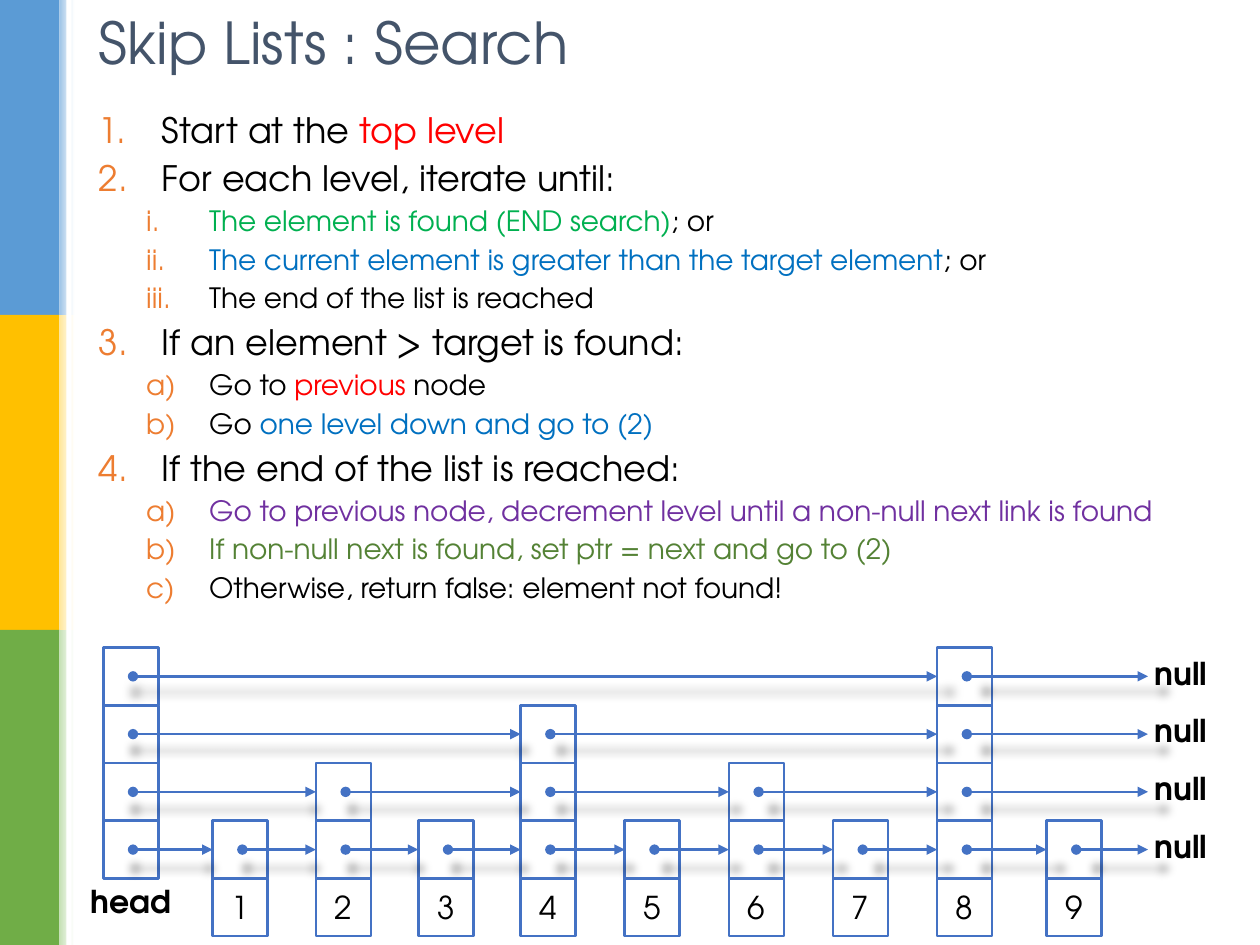
from lxml.etree import SubElement
from pptx import Presentation
from pptx.dml.color import RGBColor
from pptx.enum.shapes import MSO_CONNECTOR, MSO_SHAPE
from pptx.enum.text import MSO_ANCHOR as Anchor, PP_ALIGN as Align
from pptx.oxml import parse_xml
from pptx.oxml.ns import qn
from pptx.util import Pt

FONT = "TeX Gyre Adventor"
BLACK = RGBColor(0x00, 0x00, 0x00)
WHITE = RGBColor(0xFF, 0xFF, 0xFF)
SLATE = RGBColor(0x44, 0x54, 0x6A)
ORANGE = RGBColor(0xED, 0x7D, 0x31)
RED = RGBColor(0xFF, 0x00, 0x00)
GREEN = RGBColor(0x00, 0xB0, 0x50)
BLUE = RGBColor(0x00, 0x70, 0xC0)
PURPLE = RGBColor(0x70, 0x30, 0xA0)
OLIVE = RGBColor(0x54, 0x82, 0x35)
NODE_BLUE = RGBColor(0x44, 0x72, 0xC4)
PALE_BLUE = RGBColor(0xDE, 0xEB, 0xF7)
BANDS = [
    (RGBColor(0x5B, 0x9B, 0xD5), RGBColor(0x9D, 0xC3, 0xE6)),
    (RGBColor(0xFF, 0xC0, 0x00), RGBColor(0xFF, 0xE6, 0x99)),
    (RGBColor(0x70, 0xAD, 0x47), RGBColor(0xC5, 0xE0, 0xB4)),
]

DECIMAL, ROMAN, LETTER = "arabicPeriod", "romanLcPeriod", "alphaLcParenR"
STEPS = [
    (DECIMAL, [("Start at the ", BLACK), ("top level", RED)]),
    (DECIMAL, [("For each level, iterate until:", BLACK)]),
    (ROMAN, [("The element is found (END search)", GREEN), ("; or", BLACK)]),
    (ROMAN, [("The current element is greater than the target element", BLUE),
             ("; or", BLACK)]),
    (ROMAN, [("The end of the list is reached", BLACK)]),
    (DECIMAL, [("If an element > target is found:", BLACK)]),
    (LETTER, [("Go to ", BLACK), ("previous", RED), (" node", BLACK)]),
    (LETTER, [("Go ", BLACK), ("one level down and go to (2)", BLUE)]),
    (DECIMAL, [("If the end of the list is reached:", BLACK)]),
    (LETTER, [("Go to previous node, decrement level until a non-null next link is found",
               PURPLE)]),
    (LETTER, [("If non-null next is found, set ptr = next and go to (2)", OLIVE)]),
    (LETTER, [("Otherwise, return false: element not found!", BLACK)]),
]

# Left edges of the head (0) and of nodes 1 to 9, relative to the diagram
NODE_LEFTS = [0, 62.5, 121.5, 180, 238.5, 298, 357.5, 417, 476.5, 539]
LEVELS = [[0, 8], [0, 4, 8], [0, 2, 4, 6, 8], list(range(10))]
CELL_WIDTH, CELL_HEIGHT = 31.5, 33
POINTER_OFFSET = 17
NULL_LEFT = 597


def write(paragraph, text, size=18, color=BLACK, bold=False, outline=None):
    run = paragraph.add_run()
    run.text = text
    font = run.font
    font.name, font.size, font.bold = FONT, Pt(size), bold
    font.color.rgb = color
    if outline is not None:
        rim = parse_xml(
            '<a:ln xmlns:a="http://schemas.openxmlformats.org/drawingml/2006/main" w="9525">'
            f'<a:solidFill><a:srgbClr val="{outline}"/></a:solidFill></a:ln>')
        font._element.insert(0, rim)


def add_frame(slide, left, top, width, height, wrap=True):
    frame = slide.shapes.add_textbox(Pt(left), Pt(top), Pt(width), Pt(height)).text_frame
    frame.word_wrap = wrap
    return frame


def add_rectangle(slide, left, top, width, height, fill=WHITE, line=None):
    rectangle = slide.shapes.add_shape(
        MSO_SHAPE.RECTANGLE, Pt(left), Pt(top), Pt(width), Pt(height))
    rectangle.shadow.inherit = False
    rectangle.fill.solid()
    rectangle.fill.fore_color.rgb = fill
    if line is None:
        rectangle.line.fill.background()
    else:
        rectangle.line.color.rgb = line
        rectangle.line.width = Pt(1.5)
    return rectangle


def add_side_bar(slide, left, top, width, height):
    """Stack the colour bands, each fading to white along its right edge."""
    band_height = height / len(BANDS)
    fade_width = 8.5
    for i, (strong, pale) in enumerate(BANDS):
        band_top = top + i * band_height
        add_rectangle(slide, left, band_top, width - fade_width, band_height, strong)
        fade = add_rectangle(
            slide, left + width - fade_width, band_top, fade_width, band_height)
        fade.fill.gradient()
        fade.fill.gradient_angle = 0
        for stop, color in zip(fade.fill.gradient_stops, (pale, WHITE)):
            stop.color.rgb = color
    add_rectangle(slide, left + width - 4.5, top, 3, height)


def add_title(slide, left, top, width, height):
    frame = add_frame(slide, left, top, width, height)
    frame.vertical_anchor = Anchor.MIDDLE
    frame.paragraphs[0].line_spacing = 0.9
    write(frame.paragraphs[0], "Skip Lists : Search", size=33, color=SLATE)


def number_paragraph(paragraph, scheme):
    nested = scheme != DECIMAL
    paragraph.level = int(nested)
    paragraph.line_spacing = 0.9
    props = paragraph._p.get_or_add_pPr()
    props.set("marL", str(Pt(63 if nested else 36)))
    props.set("indent", str(Pt(-36)))
    before = SubElement(props, qn("a:spcBef"))
    SubElement(before, qn("a:spcPct"), val="30000")
    bullet_color = SubElement(props, qn("a:buClr"))
    SubElement(bullet_color, qn("a:srgbClr"), val=str(ORANGE))
    SubElement(props, qn("a:buFont"), typeface="+mj-lt")
    SubElement(props, qn("a:buAutoNum"), type=scheme)


def add_steps(slide, left, top, width, height):
    frame = add_frame(slide, left, top, width, height)
    for i, (scheme, parts) in enumerate(STEPS):
        paragraph = frame.add_paragraph() if i else frame.paragraphs[0]
        number_paragraph(paragraph, scheme)
        for text, color in parts:
            write(paragraph, text, size=20 if scheme == DECIMAL else 16, color=color)


def add_pointer(slide, start_x, y, end_x, target=None):
    """Draw a dot-to-arrow link, joined to the left side of target if given."""
    pointer = slide.shapes.add_connector(
        MSO_CONNECTOR.STRAIGHT, Pt(start_x), Pt(y), Pt(end_x), Pt(y))
    if target is not None:
        pointer.end_connect(target, 1)
    pointer.line.color.rgb = NODE_BLUE
    pointer.line.width = Pt(1.5)
    line = pointer.line._get_or_add_ln()
    SubElement(line, qn("a:headEnd"), type="oval")
    SubElement(line, qn("a:tailEnd"), type="triangle")
    effects = SubElement(pointer._element.spPr, qn("a:effectLst"))
    shadow = SubElement(effects, qn("a:outerShdw"), blurRad=str(Pt(5)), dist=str(Pt(1)),
                        dir="5400000", sx="102000", sy="102000", algn="ctr",
                        rotWithShape="0")
    shade = SubElement(shadow, qn("a:srgbClr"), val=str(BLACK))
    SubElement(shade, qn("a:alpha"), val="32000")


def add_tag(slide, left, top, width, text):
    frame = add_frame(slide, left, top, width, 29, wrap=False)
    write(frame.paragraphs[0], text, bold=True, outline=PALE_BLUE)


def add_level(slide, left, top, nodes):
    """Draw one linked list, from the head to null."""
    cells = [add_rectangle(slide, left + NODE_LEFTS[node], top, CELL_WIDTH, CELL_HEIGHT,
                           line=NODE_BLUE) for node in nodes]
    middle = top + CELL_HEIGHT / 2
    null_left = left + NULL_LEFT
    for node, target in zip(nodes, cells[1:] + [None]):
        add_pointer(slide, left + NODE_LEFTS[node] + POINTER_OFFSET, middle,
                    null_left, target)
    add_tag(slide, null_left - 3.5, top, 45, "null")


def add_skip_list(slide, left, top):
    for i, nodes in enumerate(LEVELS):
        add_level(slide, left, top + i * CELL_HEIGHT, nodes)
    key_top = top + len(LEVELS) * CELL_HEIGHT
    add_tag(slide, left - 14.5, key_top - 1.5, 62.5, "head")
    for key, node_left in enumerate(NODE_LEFTS[1:], start=1):
        box = add_rectangle(slide, left + node_left, key_top, CELL_WIDTH, CELL_HEIGHT,
                            line=NODE_BLUE)
        box.text_frame.vertical_anchor = Anchor.MIDDLE
        paragraph = box.text_frame.paragraphs[0]
        paragraph.alignment = Align.CENTER
        write(paragraph, str(key))


def main():
    deck = Presentation()
    deck.slide_width, deck.slide_height = Pt(720), Pt(540)
    slide = deck.slides.add_slide(deck.slide_layouts[6])
    add_side_bar(slide, 0, 0, 42.5, 540)
    add_steps(slide, 49.5, 61, 643, 387)
    add_title(slide, 49.5, 1.5, 620.5, 49)
    add_skip_list(slide, 59, 370)
    deck.save("out.pptx")


if __name__ == "__main__":
    main()
